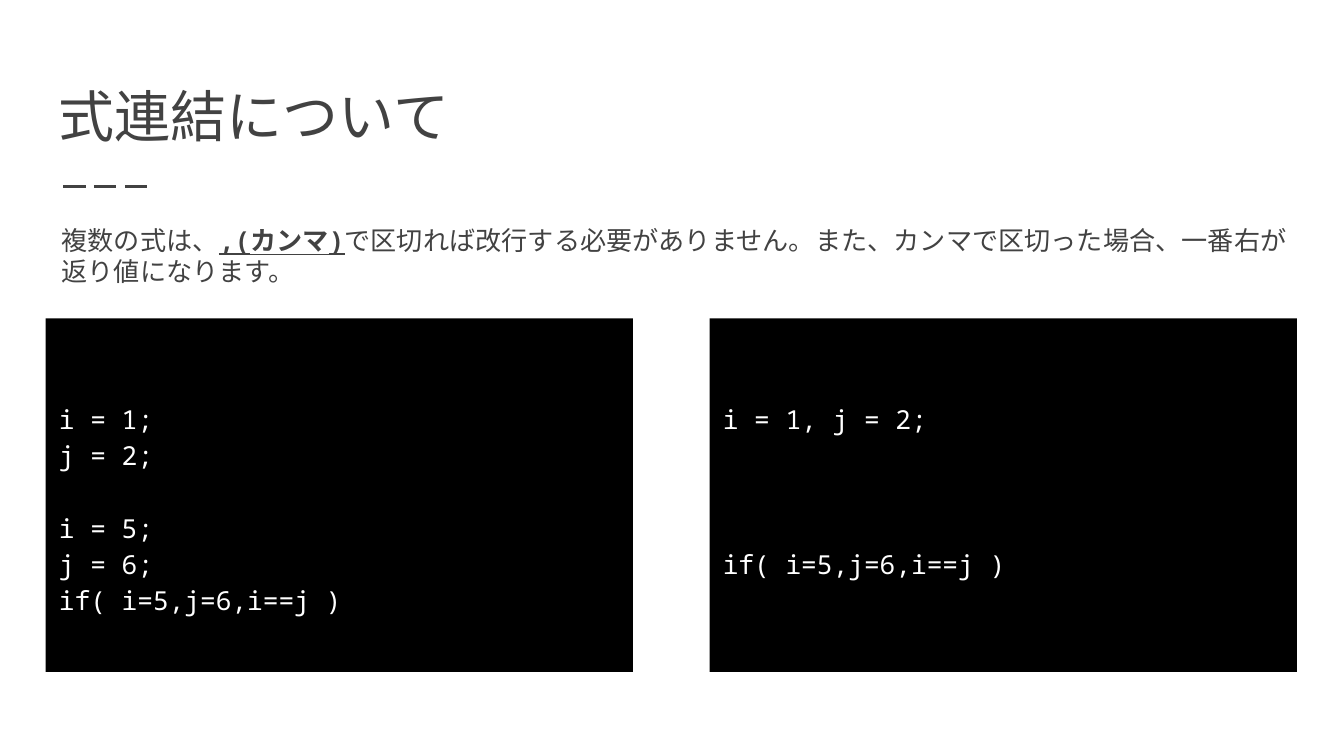
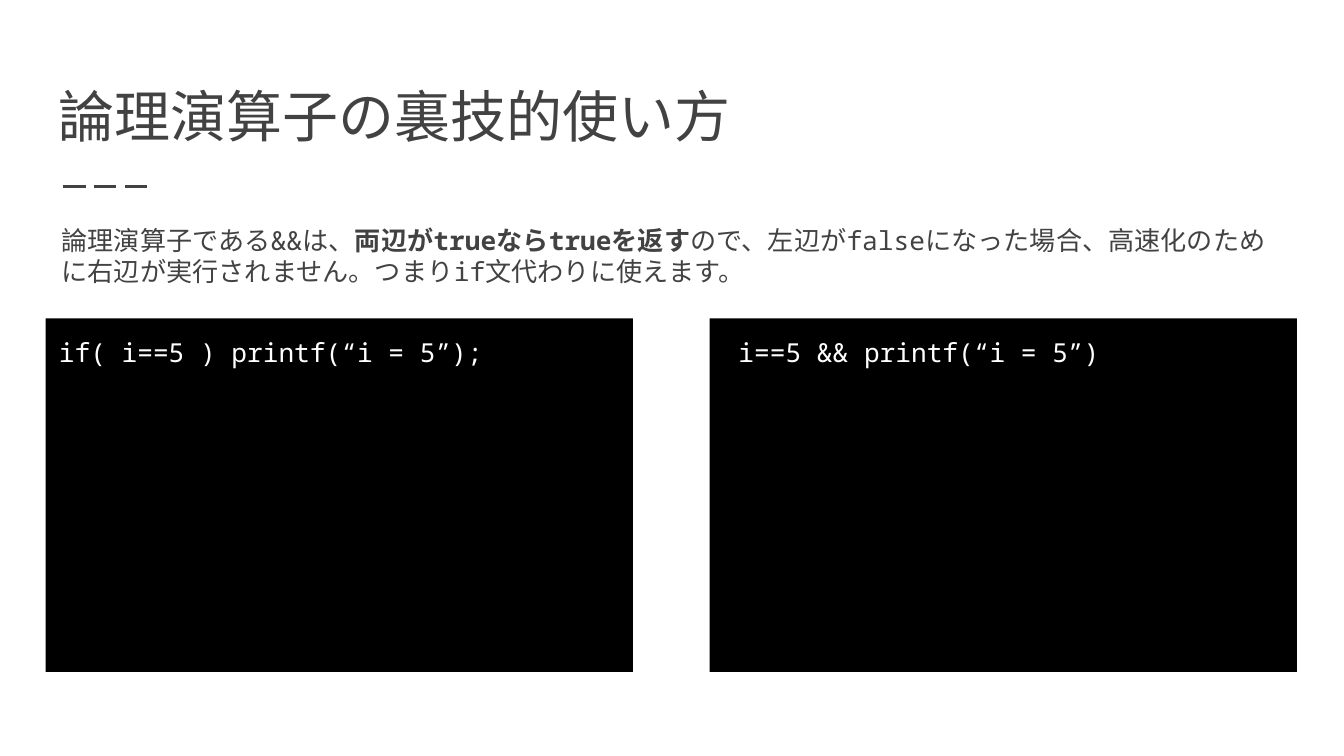
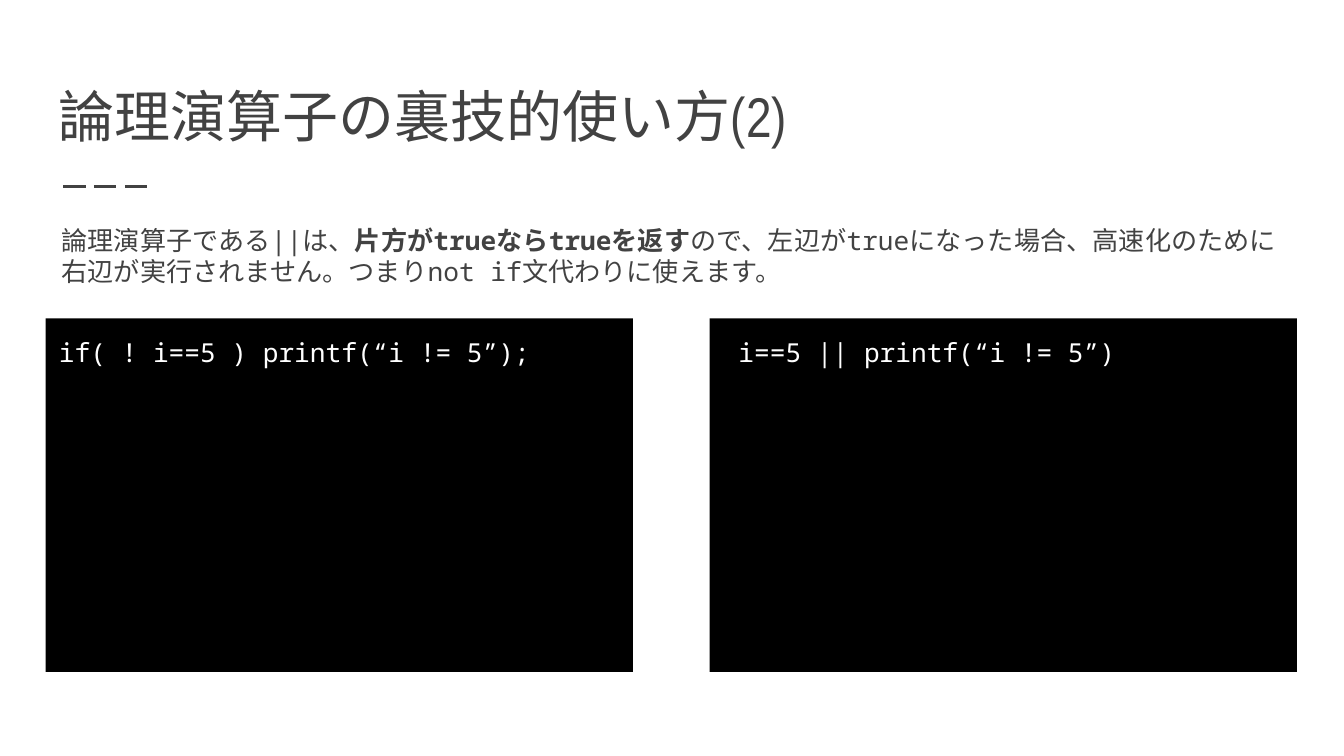
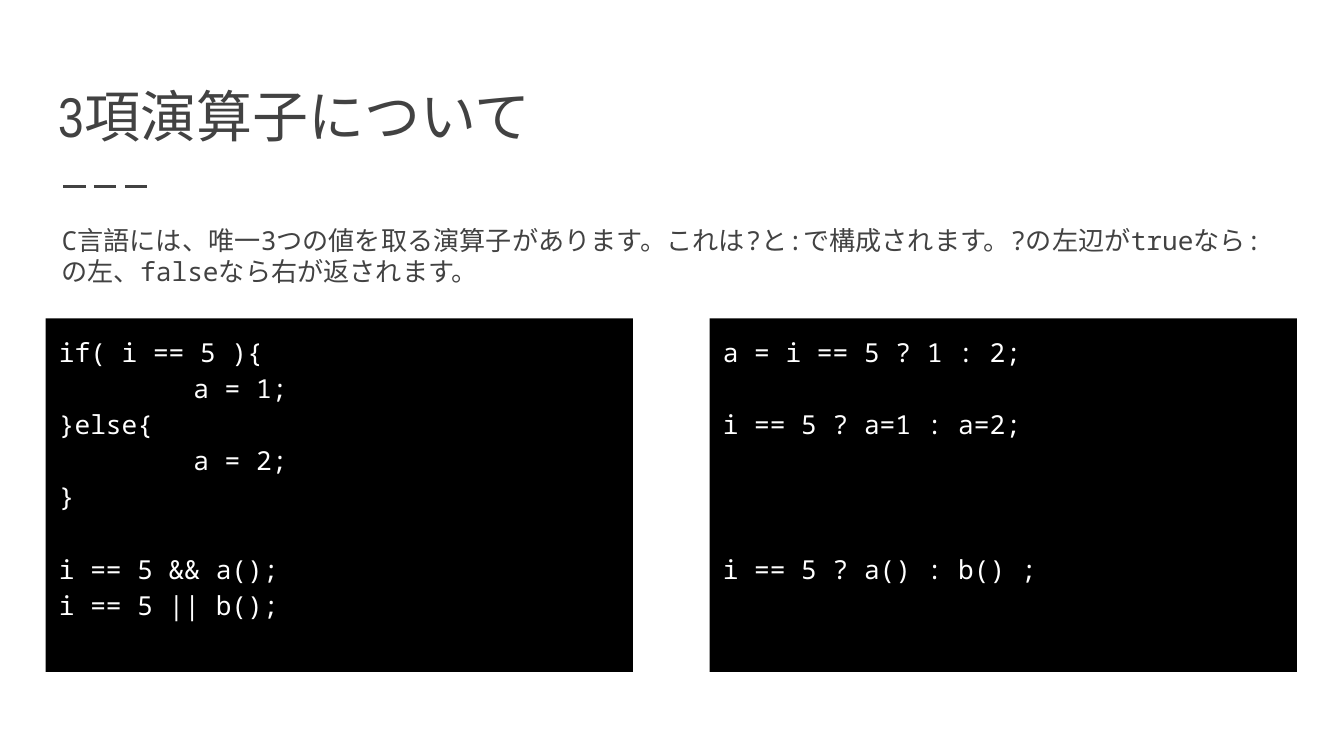
from lxml import etree
from pptx import Presentation
from pptx.dml.color import RGBColor
from pptx.enum.dml import MSO_LINE
from pptx.enum.shapes import MSO_CONNECTOR, MSO_SHAPE
from pptx.enum.text import MSO_ANCHOR, PP_ALIGN
from pptx.oxml.ns import qn
from pptx.util import Inches, Pt

STRAIGHT = MSO_CONNECTOR.STRAIGHT
RECTANGLE = MSO_SHAPE.RECTANGLE
LONG_DASH = MSO_LINE.LONG_DASH
TOP, BOTTOM = MSO_ANCHOR.TOP, MSO_ANCHOR.BOTTOM
LEFT = PP_ALIGN.LEFT

INK, BLACK, WHITE = "424242", "000000", "FFFFFF"
TITLE_FONT, MONO_FONT = "Arial Narrow", "Noto Sans Mono"
TITLE_SIZE, TEXT_SIZE = 30, 14
INSET = 0.1
CODE_SPACING = 1.15
CODE_TAB = 1         # inches from the text edge to the tab stop
BLANK_LINE = 19.4    # points left free for a blank line between code lines
TOP_BLANK = 0.25     # inches left free for a blank line above the code

# Boxes: left, top, width, height in inches
TITLE_BOX = (0.34, 0.41, 9.32, 0.8)
TEXT_BOX = (0.36, 1.57, 9.32, 0.7)
CODE_BOXES = [(left, 2.37, 4.37, 2.63) for left in (0.34, 5.28)]

# Each explanation is a list of (text, bold, underline) spans
SLIDES = [
    {
        "title": "式連結について",
        "text": [
            ("複数の式は、", False, False),
            (",(カンマ)", True, True),
            ("で区切れば改行する必要がありません。また、カンマで区切った場合、"
             "一番右が返り値になります。", False, False),
        ],
        "code": [
            "\n\ni = 1;\nj = 2;\n\ni = 5;\nj = 6;\nif( i=5,j=6,i==j )",
            "\n\ni = 1, j = 2;\n\n\n\nif( i=5,j=6,i==j )",
        ],
    },
    {
        "title": "論理演算子の裏技的使い方",
        "text": [
            ("論理演算子である&&は、", False, False),
            ("両辺がtrueならtrueを返す", True, False),
            ("ので、左辺がfalseになった場合、高速化のために右辺が実行されません。"
             "つまりif文代わりに使えます。", False, False),
        ],
        "code": ["if( i==5 ) printf(“i = 5”);", " i==5 && printf(“i = 5”)"],
    },
    {
        "title": "論理演算子の裏技的使い方(2)",
        "text": [
            ("論理演算子である||は、", False, False),
            ("片方がtrueならtrueを返す", True, False),
            ("ので、左辺がtrueになった場合、高速化のために右辺が実行されません。"
             "つまりnot if文代わりに使えます。", False, False),
        ],
        "code": ["if( ! i==5 ) printf(“i != 5”);", " i==5 || printf(“i != 5”)"],
    },
    {
        "title": "3項演算子について",
        "text": [
            ("C言語には、唯一3つの値を取る演算子があります。これは?と:で構成されます。"
             "?の左辺がtrueなら:の左、falseなら右が返されます。", False, False),
        ],
        "code": [
            "if( i == 5 ){\n\ta = 1;\n}else{\n\ta = 2;\n}\n\n"
            "i == 5 && a();\ni == 5 || b();",
            "a = i == 5 ? 1 : 2;\n\ni == 5 ? a=1 : a=2;\n\n\n\n"
            "i == 5 ? a() : b() ;",
        ],
    },
]


def color(value):
    return RGBColor.from_string(value)


def set_font(font, name, size, ink):
    font.name = name
    font.size = Pt(size)
    font.color.rgb = color(ink)


def prepare_frame(shape, anchor=TOP):
    frame = shape.text_frame
    frame.word_wrap = True
    frame.vertical_anchor = anchor
    frame.margin_left = frame.margin_right = Inches(INSET)
    frame.margin_top = frame.margin_bottom = Inches(INSET)
    return frame


def add_tab_stop(para, position):
    tabs = etree.SubElement(para._p.get_or_add_pPr(), qn("a:tabLst"))
    etree.SubElement(tabs, qn("a:tab"), pos=str(Inches(position)), algn="l")


def add_title(page, box, title):
    frame = prepare_frame(page.shapes.add_textbox(*map(Inches, box)), BOTTOM)
    para = frame.paragraphs[0]
    para.text = title
    set_font(para.font, TITLE_FONT, TITLE_SIZE, INK)

    # Dashed rule under the title
    left, top, _, height = box
    start, level = left + 0.13, top + height + 0.18
    rule = page.shapes.add_connector(
        STRAIGHT, Inches(start), Inches(level), Inches(start + 0.67), Inches(level))
    rule.line.color.rgb = color(INK)
    rule.line.width = Pt(1.5)
    rule.line.dash_style = LONG_DASH
    etree.SubElement(rule.element.spPr, qn("a:effectLst"))


def add_explanation(page, box, spans):
    frame = prepare_frame(page.shapes.add_textbox(*map(Inches, box)))
    para = frame.paragraphs[0]
    set_font(para.font, MONO_FONT, TEXT_SIZE, INK)
    for text, bold, underline in spans:
        span = para.add_run()
        span.text = text
        span.font.bold = bold
        span.font.underline = underline


def add_code(page, box, code):
    panel = page.shapes.add_shape(RECTANGLE, *map(Inches, box))
    panel.shadow.inherit = False
    panel.fill.solid()
    panel.fill.fore_color.rgb = color(BLACK)
    panel.line.fill.background()
    frame = prepare_frame(panel)

    # Blank lines become an inset at the top and paragraph spacing below it
    lines = code.lstrip("\n")
    frame.margin_top = Inches(INSET + TOP_BLANK * (len(code) - len(lines)))
    para, blanks = None, 0
    for line in lines.split("\n"):
        if not line:
            blanks += 1
            continue
        para = frame.add_paragraph() if para else frame.paragraphs[0]
        para.text = line
        para.alignment = LEFT
        para.line_spacing = CODE_SPACING
        para.space_before = Pt(BLANK_LINE * blanks)
        if line.startswith("\t"):
            add_tab_stop(para, CODE_TAB)
        set_font(para.font, MONO_FONT, TEXT_SIZE, WHITE)
        blanks = 0


def add_comparison_slide(deck, content):
    page = deck.slides.add_slide(deck.slide_layouts[6])
    add_title(page, TITLE_BOX, content["title"])
    for box, code in zip(CODE_BOXES, content["code"]):
        add_code(page, box, code)
    add_explanation(page, TEXT_BOX, content["text"])


def main():
    deck = Presentation()
    deck.slide_width = Inches(10)
    deck.slide_height = deck.slide_width * 9 // 16
    for content in SLIDES:
        add_comparison_slide(deck, content)
    deck.save("out.pptx")


if __name__ == "__main__":
    main()
